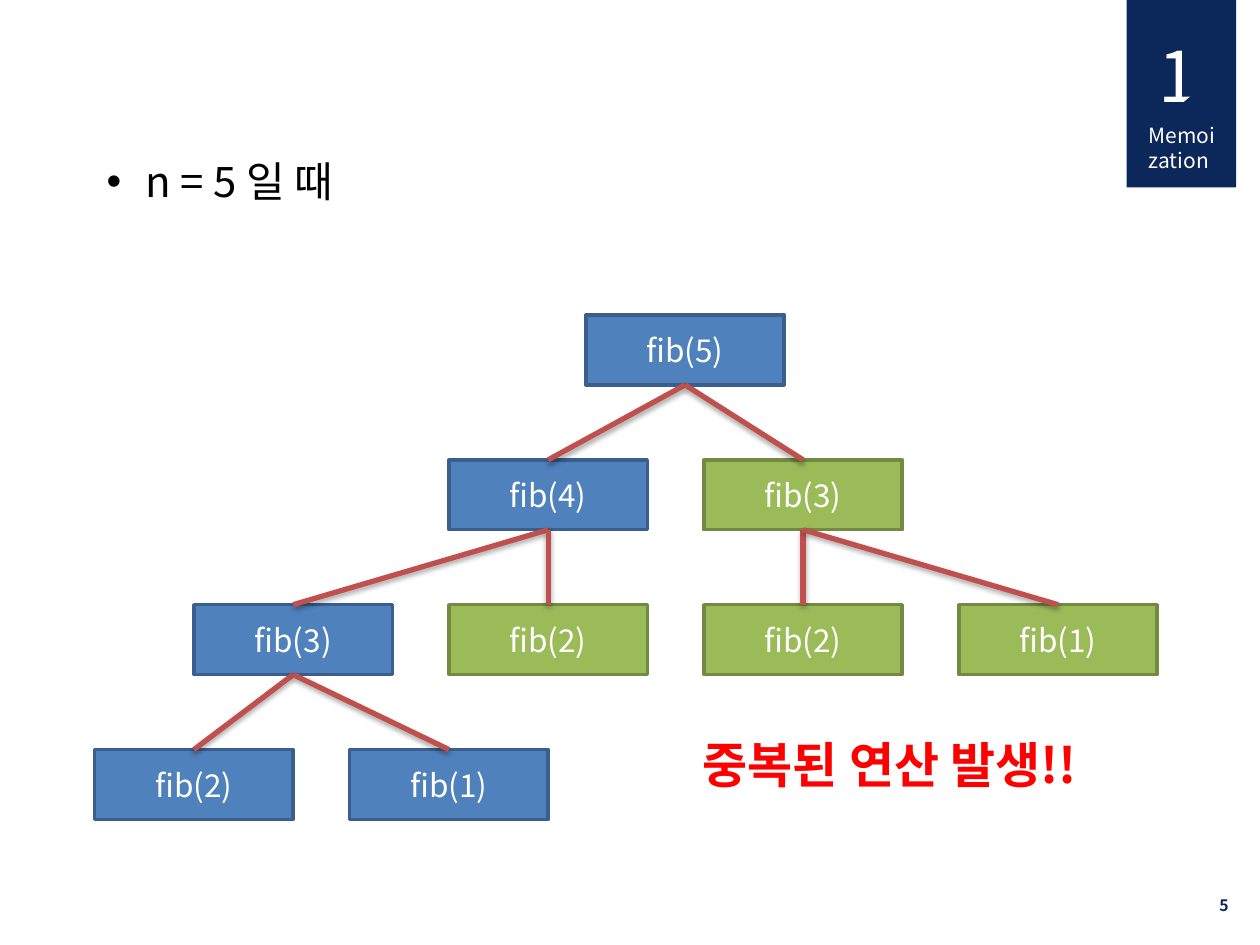
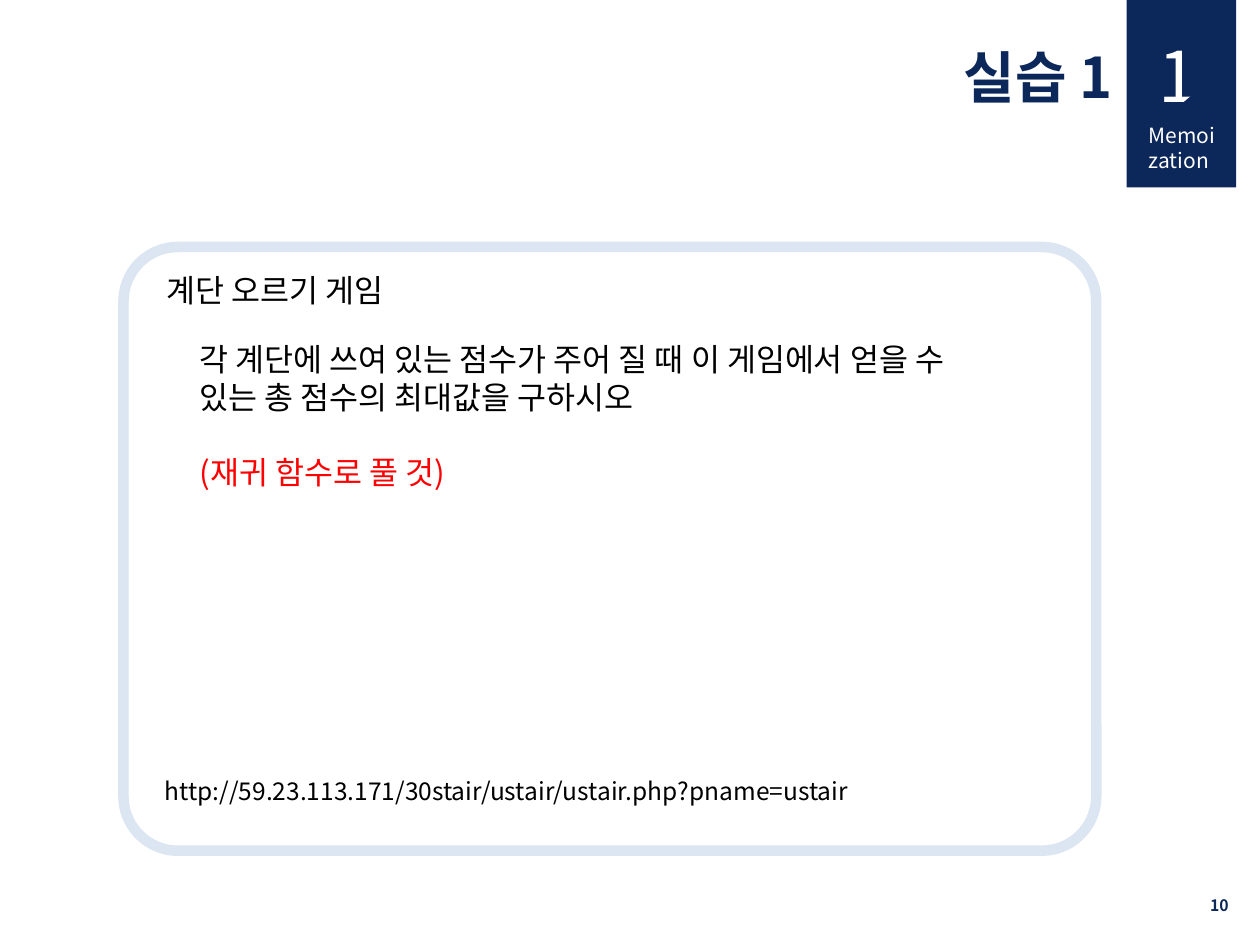
from lxml import etree
from pptx import Presentation
from pptx.dml.color import RGBColor
from pptx.enum.shapes import MSO_CONNECTOR, MSO_SHAPE
from pptx.enum.text import MSO_ANCHOR, PP_ALIGN
from pptx.oxml import parse_xml
from pptx.oxml.ns import nsdecls, qn
from pptx.util import Cm, Pt

RECTANGLE = MSO_SHAPE.RECTANGLE
ROUNDED = MSO_SHAPE.ROUNDED_RECTANGLE
TRIANGLE = MSO_SHAPE.ISOSCELES_TRIANGLE
STRAIGHT = MSO_CONNECTOR.STRAIGHT
LEFT, CENTER, RIGHT, JUSTIFY = PP_ALIGN.LEFT, PP_ALIGN.CENTER, PP_ALIGN.RIGHT, PP_ALIGN.JUSTIFY
TOP, MIDDLE = MSO_ANCHOR.TOP, MSO_ANCHOR.MIDDLE
BOTTOM_SITE, TOP_SITE = 2, 0

FONT = "Noto Sans CJK KR"
COLORS = {
    "navy": "0C2759",
    "white": "FFFFFF",
    "black": "000000",
    "red": "FF0000",
    "blue": "4F81BD",
    "blue edge": "3A5F8C",
    "green": "9BBB59",
    "green edge": "738A42",
    "branch": "C0504D",
    "frame": "DCE6F2",
}
BRANCH_SHADOW = (
    f'<a:effectLst {nsdecls("a")}>'
    '<a:outerShdw blurRad="39370" dist="22860" dir="5400000" rotWithShape="0">'
    '<a:srgbClr val="000000"><a:alpha val="35000"/></a:srgbClr>'
    "</a:outerShdw></a:effectLst>"
)


def write_text(shape, lines, size, color, bold=False, alignment=LEFT, anchor=TOP):
    """Fill a shape with one paragraph per line and return the paragraphs."""
    frame = shape.text_frame
    frame.word_wrap = True
    frame.vertical_anchor = anchor
    for index, line in enumerate(lines):
        paragraph = frame.add_paragraph() if index else frame.paragraphs[0]
        paragraph.alignment = alignment
        run = paragraph.add_run()
        run.text = line
        run.font.name = FONT
        run.font.size = Pt(size)
        run.font.bold = bold
        run.font.color.rgb = RGBColor.from_string(COLORS[color])
        east_asian = etree.SubElement(run.font._element, qn("a:ea"))
        east_asian.set("typeface", FONT)
    return frame.paragraphs


def add_block(shapes, kind, position, fill=None, edge=None, edge_width=0):
    block = shapes.add_shape(kind, *map(Cm, position))
    block.shadow.inherit = False
    if fill:
        block.fill.solid()
        block.fill.fore_color.rgb = RGBColor.from_string(COLORS[fill])
    else:
        block.fill.background()
    if edge:
        block.line.color.rgb = RGBColor.from_string(COLORS[edge])
        block.line.width = Pt(edge_width)
    else:
        block.line.fill.background()
    return block


presentation = Presentation()
presentation.slide_width = Cm(25.4)
presentation.slide_height = Cm(19.05)

# Both slides: page number and chapter tab
slides = []
for page_number in ("5", "10"):
    slide = presentation.slides.add_slide(presentation.slide_layouts[6])
    slides.append(slide)
    page_box = slide.shapes.add_textbox(Cm(19.1), Cm(17.73), Cm(5.92), Cm(1.02))
    write_text(page_box, [page_number], 9, "navy", True, RIGHT, MIDDLE)

    add_block(slide.shapes, RECTANGLE, (22.71, 0, 2.21, 3.78), "navy")
    chapter_name = slide.shapes.add_textbox(Cm(22.91), Cm(2.34), Cm(2.01), Cm(1.27))
    write_text(chapter_name, ["Memoization"], 12, "white", alignment=JUSTIFY)
    numeral = slide.shapes.add_group_shape()
    digit = numeral.shapes.add_textbox(Cm(23.11), Cm(0.53), Cm(1.6), Cm(1.96))
    write_text(digit, ["1"], 40, "white")
    corner_cut = add_block(numeral.shapes, TRIANGLE, (23.32, 1.52, 1.19, 0.99), "navy")
    corner_cut.adjustments[0] = 1

tree_slide, exercise_slide = slides

# Call tree of fib(5)
case_box = tree_slide.shapes.add_textbox(Cm(1.9), Cm(3.02), Cm(19.61), Cm(5.05))
case_line = write_text(case_box, ["n = 5 일 때"], 24, "black")[0]
properties = case_line._p.get_or_add_pPr()
properties.set("marL", str(Cm(0.79)))
properties.set("indent", str(Cm(-0.79)))
etree.SubElement(properties, qn("a:buFont")).set("typeface", "Arial")
etree.SubElement(properties, qn("a:buChar")).set("char", "•")

NODE_WIDTH, NODE_HEIGHT = 4, 1.41
COLUMN_STEP, ROW_STEP, FIRST_TOP = 5.14, 2.92, 6.35
# Left edge of each row, then its nodes: argument and colour
tree_rows = [
    (11.81, [(5, "blue")]),
    (9.05, [(4, "blue"), (3, "green")]),
    (3.91, [(3, "blue"), (2, "green"), (2, "green"), (1, "green")]),
    (1.91, [(2, "blue"), (1, "blue")]),
]
nodes = []
for row, (row_left, calls) in enumerate(tree_rows):
    for column, (argument, color) in enumerate(calls):
        position = (row_left + column * COLUMN_STEP, FIRST_TOP + row * ROW_STEP,
                    NODE_WIDTH, NODE_HEIGHT)
        node = add_block(tree_slide.shapes, RECTANGLE, position, color, f"{color} edge", 2)
        write_text(node, [f"fib({argument})"], 18, "white", alignment=CENTER, anchor=MIDDLE)
        nodes.append(node)

# Nodes are in reading order, so the children of node i are 2i + 1 and 2i + 2
for child_index in range(1, len(nodes)):
    parent, child = nodes[(child_index - 1) // 2], nodes[child_index]
    branch = tree_slide.shapes.add_connector(STRAIGHT, 0, 0, 0, 0)
    branch.begin_connect(parent, BOTTOM_SITE)
    branch.end_connect(child, TOP_SITE)
    branch.line.color.rgb = RGBColor.from_string(COLORS["branch"])
    branch.line.width = Pt(3)
    branch._element.spPr.append(parse_xml(BRANCH_SHADOW))

warning = tree_slide.shapes.add_textbox(Cm(13.92), Cm(14.68), Cm(8.79), Cm(1.45))
write_text(warning, ["중복된 연산 발생!!"], 28, "red", True)
warning.text_frame.word_wrap = False

# Exercise
title = exercise_slide.shapes.add_textbox(Cm(16.56), Cm(0.74), Cm(6.12), Cm(1.63))
write_text(title, ["실습 1"], 32, "navy", True, RIGHT)
task_frame = add_block(exercise_slide.shapes, ROUNDED, (2.49, 4.98, 19.61, 12.17),
                       edge="frame", edge_width=6)
task_frame.adjustments[0] = 0.09

game_name = exercise_slide.shapes.add_textbox(Cm(3.1), Cm(5.33), Cm(11.46), Cm(1.02))
write_text(game_name, ["계단 오르기 게임"], 18, "black")
address = exercise_slide.shapes.add_textbox(Cm(3.07), Cm(15.52), Cm(18.59), Cm(0.86))
write_text(address, ["http://59.23.113.171/30stair/ustair/ustair.php?pname=ustair"], 14, "black")

task = exercise_slide.shapes.add_textbox(Cm(3.78), Cm(6.73), Cm(19.56), Cm(3.33))
task_lines = [
    "각 계단에 쓰여 있는 점수가 주어 질 때 이 게임에서 얻을 수",
    "있는 총 점수의 최대값을 구하시오",
    "(재귀 함수로 풀 것)",
]
hint = write_text(task, task_lines, 18, "black")[-1]
hint.space_before = Pt(21.5)
hint.runs[0].font.color.rgb = RGBColor.from_string(COLORS["red"])

presentation.save("out.pptx")
